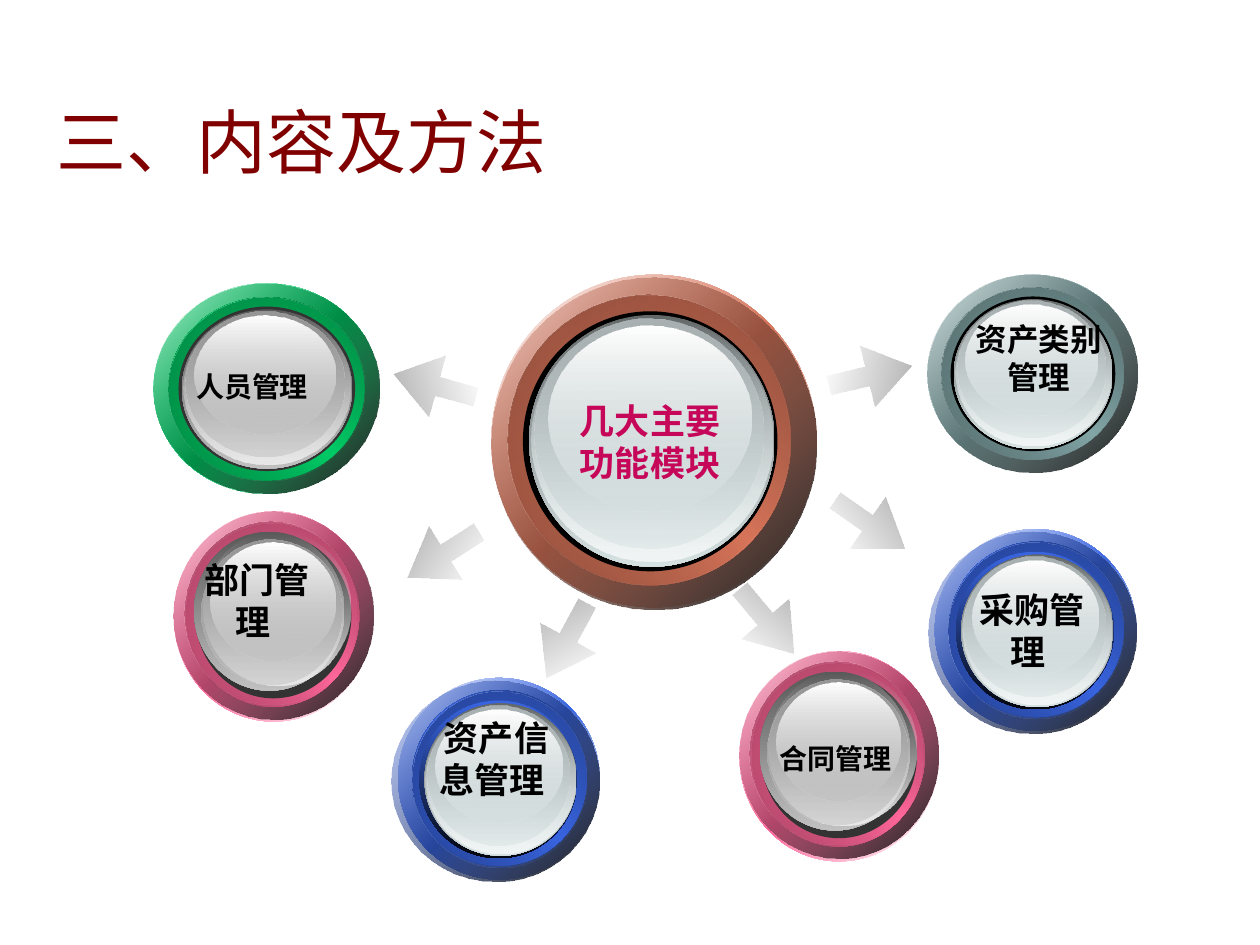
from lxml import etree
from pptx import Presentation
from pptx.dml.color import RGBColor
from pptx.enum import shapes, text
from pptx.oxml.ns import qn
from pptx.util import Pt

WHITE = RGBColor(0xFF, 0xFF, 0xFF)
BLACK = RGBColor(0, 0, 0)
MAROON = RGBColor(0x80, 0, 0)
MAGENTA = RGBColor(0xC6, 0x06, 0x58)
ARROW_GREY = RGBColor(0xB2, 0xB2, 0xB2)
CHARCOAL = RGBColor(0x33, 0x33, 0x33)
NAVY_BLACK = RGBColor(0x03, 0x06, 0x0D)
BROWN = RGBColor(0xD8, 0x75, 0x5A)
TEAL = RGBColor(0x83, 0xA6, 0xA7)
GREEN = RGBColor(0, 0xCC, 0x66)
PINK = RGBColor(0xFF, 0x66, 0x99)
BLUE = RGBColor(0x39, 0x65, 0xE1)

# Glass tones: dark, middle, body, light
BLUE_GLASS = (RGBColor(0x63, 0x68, 0x69), RGBColor(0xAA, 0xB2, 0xB3),
              RGBColor(0xD6, 0xE1, 0xE2), RGBColor(0xF1, 0xF5, 0xF5))
GREY_GLASS = (RGBColor(0x59, 0x59, 0x59), RGBColor(0x98, 0x98, 0x98),
              RGBColor(0xC0, 0xC0, 0xC0), RGBColor(0xE9, 0xE9, 0xE9))

# Layer sizes and offsets, in percent of the outer ring;
# an offset may carry its own width and height
LAYER_SIZES = [(100, 100), (100, 100), (86.7, 87), (86.7, 87), (78.3, 78.2),
               (75.5, 75.7), (74, 73.9), (70.4, 69.2), (62.6, 56)]
LARGE = [(0, 0), (0, 0.8), (5.4, 6.4), (5, 6.1), (9.7, 11),
         (11.6, 12.1), (12.4, 12.5), (13.2, 13.3), (17.4, 15.2)]
CENTRED = [(0, 0), (0, 0), (6.6, 6.5), (6.6, 6.5), (11, 11),
           (12.5, 12.3), (13.3, 12.3), (14.2, 13.2), (18.2, 15.1)]
TILTED = [(0, 0), (0, 0, 100, 98.8), (6.3, 6), (5.1, 4.8), (10.8, 10.8),
          (10.1, 9.6), (14.6, 9), (13.9, 13.2), (18.4, 15)]
SHIFTED = [(0, 0), (-3.1, 1.2, 103.1, 100), (6.9, 6.2), (6.9, 6.9), (10.6, 11.2),
           (13.1, 12.5), (13.8, 13.1), (14.4, 13.8), (18.8, 15.6)]

# Ring box, colour, offsets, rim stops, glass
DISCS = [
    ((280.8, 157, 185.8, 190), BROWN, LARGE, [(0, BLACK), (100, BLACK)], BLUE_GLASS),
    ((530, 157, 120.2, 113), TEAL, CENTRED, [(0, BLACK), (100, BLACK)], BLUE_GLASS),
    ((422.6, 372.2, 113.8, 120), PINK, TILTED, [(0, CHARCOAL), (100, CHARCOAL)], GREY_GLASS),
    ((87.8, 162, 128.9, 120.2), GREEN, CENTRED, [(0, CHARCOAL), (100, CHARCOAL)], GREY_GLASS),
    ((227.5, 387.4, 115.2, 115.2), BLUE, SHIFTED, [(0, BLUE), (100, NAVY_BLACK)], BLUE_GLASS),
    ((99.4, 292.3, 113.8, 120), PINK, TILTED, [(0, CHARCOAL), (100, CHARCOAL)], GREY_GLASS),
    ((534.2, 302.4, 115.2, 115.2), BLUE, SHIFTED, [(0, BLUE), (100, NAVY_BLACK)], BLUE_GLASS),
]

# Left, top, rotation, gradient angle
ARROWS = [(473, 196.6, 166.6, 193), (299.5, 347.8, 298.6, 61),
          (223.9, 202.3, 15.3, 345), (414, 337, 230.2, 130),
          (473, 281.5, 214.7, 145), (229, 298.8, 327.6, 32)]

# Box, lines, size, colour, alignment
CENTER, LEFT = text.PP_ALIGN.CENTER, text.PP_ALIGN.LEFT
LABELS = [
    ((292.3, 224.6, 158.4, 55.4), ["几大主要", "功能模块"], 20, MAGENTA, CENTER),
    ((542, 179.3, 103, 50.4), ["资产类别管理"], 18, BLACK, CENTER),
    ((105.1, 207.4, 113, 26.6), ["人员管理"], 16, BLACK, LEFT),
    ((241.2, 406, 85, 55.4), ["资产信息管理 "], 20, BLACK, CENTER),
    ((547.2, 332.6, 85, 55.4), ["采购管理 "], 20, BLACK, CENTER),
    ((104.4, 315.4, 85, 55.4), ["部门管理 "], 20, BLACK, CENTER),
    ((438.5, 420.5, 85, 26.6), ["合同管理"], 16, BLACK, LEFT),
]


def darken(color, factor):
    return RGBColor(*(int(channel * factor) for channel in color))


def set_gradient(shape, stops, angle, rotates=True):
    """Fill with stops of (position, colour[, opacity]), all in percent."""
    shape.fill.gradient()
    gradient = shape.fill._fill._gradFill
    gradient.set("rotWithShape", "1" if rotates else "0")
    for child in list(gradient):
        gradient.remove(child)
    stop_list = etree.SubElement(gradient, qn("a:gsLst"))
    for position, color, *opacity in stops:
        stop = etree.SubElement(stop_list, qn("a:gs"), pos=str(position * 1000))
        value = etree.SubElement(stop, qn("a:srgbClr"), val=str(color))
        if opacity:
            etree.SubElement(value, qn("a:alpha"), val=str(opacity[0] * 1000))
    etree.SubElement(gradient, qn("a:lin"), ang=str(angle * 60000), scaled="1")


def add_plain_shape(slide, kind, box):
    shape = slide.shapes.add_shape(kind, *(Pt(value) for value in box))
    shape.shadow.inherit = False
    shape.line.fill.background()
    return shape


def add_disc(slide, box, color, offsets, rim, glass):
    left, top, width, height = box
    dark, middle, body, light = glass
    edge = darken(color, 0.54)
    fills = [
        ([(0, WHITE), (50, color), (100, WHITE)], 45),
        ([(0, color, 32), (100, BLACK, 90)], 45),
        ([(0, edge), (50, color), (100, edge)], 315),
        ([(0, darken(color, 0.64)), (100, color, 0)], 45),
        (rim, 90),
        ([(0, dark), (100, body)], 90),
        ([(0, body, 0), (100, light)], 90),
        ([(0, middle), (100, body, 48)], 90),
        ([(0, WHITE), (100, body, 38)], 90),
    ]
    for (x, y, *own_size), size, (stops, angle) in zip(offsets, LAYER_SIZES, fills):
        w, h = own_size or size
        layer = add_plain_shape(slide, shapes.MSO_SHAPE.OVAL, (
            left + width * x / 100, top + height * y / 100,
            width * w / 100, height * h / 100))
        if stops[0][1] == stops[-1][1] and len(stops) == 2:
            layer.fill.solid()
            layer.fill.fore_color.rgb = stops[0][1]
        else:
            set_gradient(layer, stops, angle)


def add_arrow(slide, left, top, rotation, angle):
    arrow = add_plain_shape(slide, shapes.MSO_SHAPE.LEFT_ARROW, (left, top, 48.2, 36))
    arrow.adjustments[0] = 0.31
    arrow.adjustments[1] = 0.72
    arrow.rotation = rotation
    set_gradient(arrow, [(0, ARROW_GREY), (100, ARROW_GREY, 0)], angle, rotates=False)


def add_text(slide, box, lines, size, color, alignment, bold=True,
             anchor=text.MSO_ANCHOR.TOP):
    frame = slide.shapes.add_textbox(*(Pt(value) for value in box)).text_frame
    frame.word_wrap = True
    frame.vertical_anchor = anchor
    font_format = {"name": "Arial", "size": Pt(size), "bold": bold}
    for index, line in enumerate(lines):
        paragraph = frame.add_paragraph() if index else frame.paragraphs[0]
        paragraph.alignment = alignment
        run = paragraph.add_run()
        run.text = line
        for name, value in font_format.items():
            setattr(run.font, name, value)
        run.font.color.rgb = color


def main():
    presentation = Presentation()
    presentation.slide_width, presentation.slide_height = Pt(720), Pt(540)
    slide = presentation.slides.add_slide(presentation.slide_layouts[6])

    # Title
    add_text(slide, (25.2, 32, 574.6, 96.5), ["三、内容及方法"], 40, MAROON, LEFT,
             bold=False, anchor=text.MSO_ANCHOR.MIDDLE)
    # Central disc and the modules around it
    for disc in DISCS:
        add_disc(slide, *disc)
    # Arrows from the centre outwards
    for arrow in ARROWS:
        add_arrow(slide, *arrow)
    # Module names
    for label in LABELS:
        add_text(slide, *label)

    presentation.save("out.pptx")


if __name__ == "__main__":
    main()
